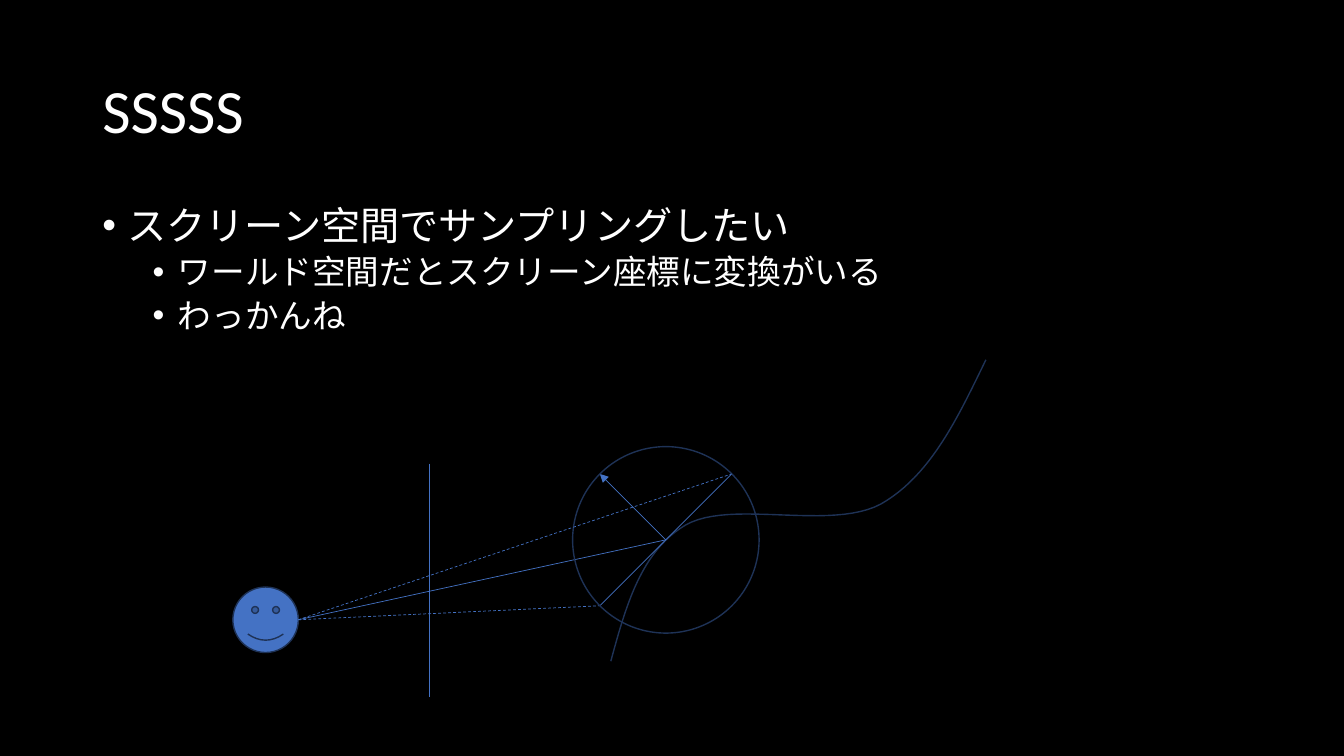
from lxml import etree
from pptx import Presentation
from pptx.dml.color import RGBColor
from pptx.enum import dml, shapes, text
from pptx.oxml import ns
from pptx.util import Pt

BLACK = RGBColor(0, 0, 0)
WHITE = RGBColor(255, 255, 255)
BLUE = RGBColor(0x44, 0x72, 0xC4)
NAVY = RGBColor(0x1E, 0x32, 0x56)
FONT = "Calibri"


def add_tag(parent, tag, **attrs):
    return etree.SubElement(parent, ns.qn(tag), attrs)


def add_text(frame, words, size, first=False, level=0, before=0, indent=None):
    para = frame.paragraphs[0] if first else frame.add_paragraph()
    para.level = level
    if indent is not None:
        props = para._p.get_or_add_pPr()
        props.set("marL", str(Pt(indent)))
        props.set("indent", str(-Pt(18)))
        add_tag(props, "a:buFont", typeface="Arial")
        add_tag(props, "a:buChar", char="•")
    para.line_spacing = 0.9
    para.space_before = Pt(before)
    run = para.add_run()
    run.text = words
    run.font.name = FONT
    run.font.size = Pt(size)
    run.font.color.rgb = WHITE


def add_frame(slide, box, anchor):
    frame = slide.shapes.add_textbox(*map(Pt, box)).text_frame
    frame.word_wrap = True
    frame.vertical_anchor = anchor
    return frame


def draw_title(slide, box):
    frame = add_frame(slide, box, text.MSO_ANCHOR.MIDDLE)
    add_text(frame, "SSSSS", 44, first=True)


def draw_body(slide, box):
    frame = add_frame(slide, box, text.MSO_ANCHOR.TOP)
    add_text(frame, "スクリーン空間でサンプリングしたい", 28, first=True, indent=18)
    for words in ("ワールド空間だとスクリーン座標に変換がいる", "わっかんね"):
        add_text(frame, words, 24, level=1, before=5, indent=54)


def set_style(shape, fill=None):
    shape.shadow.inherit = False
    if fill is None:
        shape.fill.background()
    else:
        shape.fill.solid()
        shape.fill.fore_color.rgb = fill
    shape.line.color.rgb = NAVY
    shape.line.width = Pt(1)


def add_round(slide, kind, mid, radius, fill=None):
    x, y = mid
    box = (x - radius, y - radius, 2 * radius, 2 * radius)
    set_style(slide.shapes.add_shape(kind, *map(Pt, box)), fill)


def add_line(slide, start, end, dash=False, arrow=False):
    line = slide.shapes.add_connector(
        shapes.MSO_CONNECTOR.STRAIGHT, *map(Pt, start + end))
    line.line.color.rgb = BLUE
    line.line.width = Pt(0.5)
    if dash:
        line.line.dash_style = dml.MSO_LINE.DASH
    if arrow:
        add_tag(line.line._get_or_add_ln(), "a:tailEnd", type="triangle")
    add_tag(line._element.spPr, "a:effectLst")


def trace(points, steps=24):
    for k in range(0, len(points) - 1, 3):
        a, b, c, d = points[k:k + 4]
        for n in range(1, steps + 1):
            t = n / steps
            s = 1 - t
            yield tuple(
                Pt(s**3 * p + 3 * s * s * t * q + 3 * s * t * t * r + t**3 * v)
                for p, q, r, v in zip(a, b, c, d))


def draw_scene(slide, left, top):
    def at(x, y):
        return left + x, top + y

    curve = [at(*p) for p in (
        (270, 215.3), (280.8, 175.7), (291.6, 136.8), (323.3, 118.1),
        (355.7, 99.4), (427, 122.4), (463, 103),
        (498.3, 82.8), (517.7, 41.8), (537.9, 0))]
    build = slide.shapes.build_freeform(*map(Pt, curve[0]))
    build.add_line_segments(list(trace(curve)), close=False)
    set_style(build.convert_to_shape())

    radius, face = 66.6, 23.4
    reach = radius * 0.5 ** 0.5
    hit = at(309.3, 128.6)
    eye = at(face, 185.7)
    far = hit[0] + reach, hit[1] - reach
    near = hit[0] - reach, hit[1] + reach
    tip = hit[0] - reach, hit[1] - reach
    view = eye[0] + face, eye[1]

    add_line(slide, far, near)
    add_line(slide, hit, tip, arrow=True)
    add_round(slide, shapes.MSO_SHAPE.SMILEY_FACE, eye, face, BLUE)
    add_line(slide, view, hit)
    add_line(slide, view, near, dash=True)
    add_round(slide, shapes.MSO_SHAPE.OVAL, hit, radius)
    add_line(slide, view, far, dash=True)
    add_line(slide, at(140.4, 74.2), at(140.4, 241.2))


def main():
    deck = Presentation()
    deck.slide_width, deck.slide_height = Pt(960), Pt(540)
    slide = deck.slides.add_slide(deck.slide_layouts[6])
    slide.background.fill.solid()
    slide.background.fill.fore_color.rgb = BLACK
    draw_title(slide, (66, 28.8, 828, 104.4))
    draw_body(slide, (66, 144, 828, 342.7))
    draw_scene(slide, 166.3, 257)
    deck.save("out.pptx")


if __name__ == "__main__":
    main()
